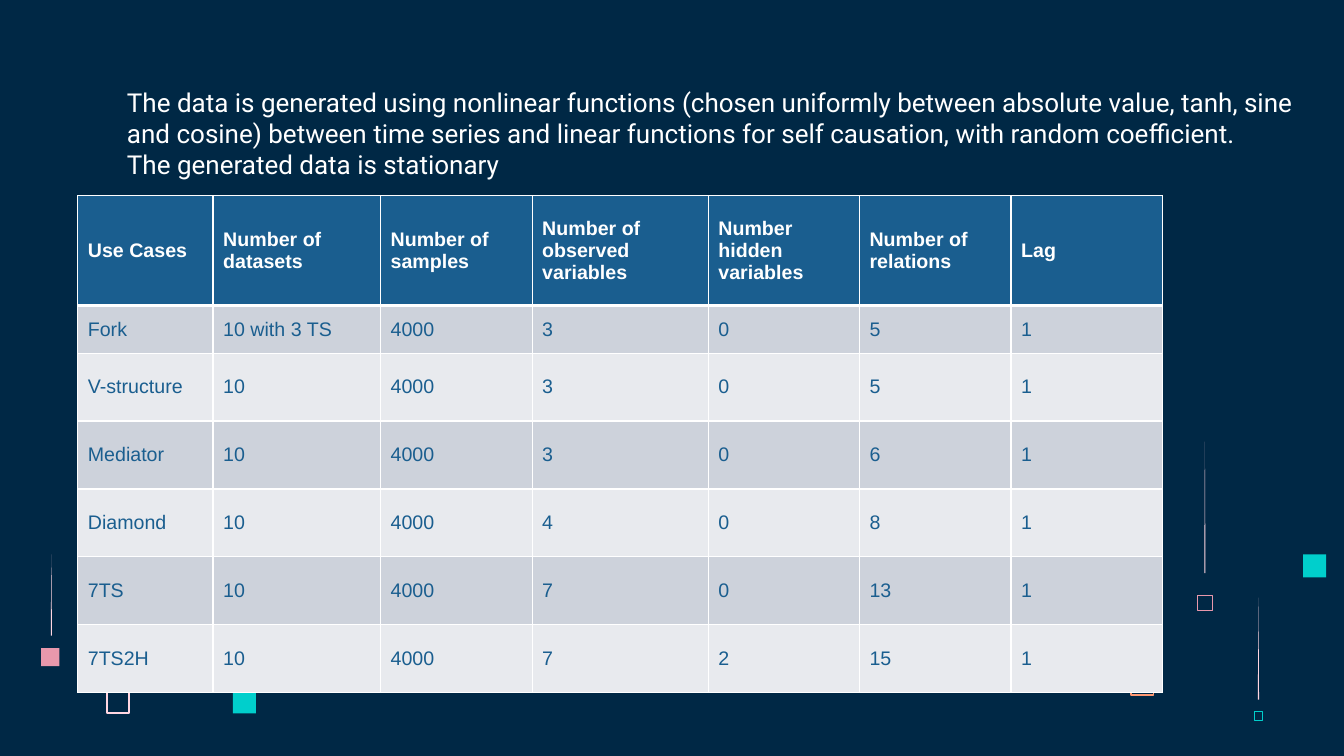
from pptx import Presentation
from pptx.dml.color import RGBColor
from pptx.enum.shapes import MSO_SHAPE
from pptx.enum.text import MSO_ANCHOR
from pptx.oxml.ns import qn
from pptx.util import Cm, Pt
from lxml import etree

RECTANGLE = MSO_SHAPE.RECTANGLE
TRIANGLE = MSO_SHAPE.ISOSCELES_TRIANGLE
MIDDLE = MSO_ANCHOR.MIDDLE

INTRO = [
    "The data is generated using nonlinear functions (chosen uniformly between absolute value, "
    "tanh, sine and cosine) between time series and linear functions for self causation, "
    "with random coefficient.",
    "The generated data is stationary",
]
HEADERS = ["Use Cases", "Number of datasets", "Number of samples", "Number of observed variables",
           "Number hidden variables", "Number of relations", "Lag"]
USE_CASES = [
    ("Fork", "10 with 3 TS", 4000, 3, 0, 5, 1),
    ("V-structure", 10, 4000, 3, 0, 5, 1),
    ("Mediator", 10, 4000, 3, 0, 6, 1),
    ("Diamond", 10, 4000, 4, 0, 8, 1),
    ("7TS", 10, 4000, 7, 0, 13, 1),
    ("7TS2H", 10, 4000, 7, 2, 15, 1),
]

THEME = {
    "background": "002845", "white": "FFFFFF", "blue": "1A5E8F",
    "bands": ("CDD2DB", "E8EAEE"),
    "teal": "00CFCC", "pink": "E898AC", "blush": "FFD6E1", "orange": "FF9973",
    "intro_font": "Roboto", "intro_size": 18.6,
    "table_font": "Arial", "table_size": 14,
    "border": 1, "header_border": 3,
}

OUTLINED_SQUARES = [
    (2.69, 17.4, 0.56, "blush", 1.25),
    (30.18, 15.01, 0.36, "pink", 0.25),
    (31.6, 17.93, 0.21, "teal", 0.25),
    (28.5, 16.94, 0.57, "orange", 1),
]
FILLED_SQUARES = [
    (5.87, 17.4, 0.58, "teal"),
    (1.04, 16.33, 0.46, "pink"),
    (32.84, 13.97, 0.58, "teal"),
]
STREAKS = [(30.35, 11.13, 3.31), (1.28, 13.97, 2.05), (31.7, 15.06, 2.57)]
STREAK_WIDTH = 0.03

TABLE_LEFT, TABLE_TOP = 1.96, 4.93
COLUMN_WIDTHS = [3.41, 4.22, 3.82, 4.44, 3.81, 3.82, 3.81]
ROW_HEIGHTS = [2.77, 1.2] + [1.71] * 5


def colour(name):
    return RGBColor.from_string(THEME.get(name, name))


def add_decoration(page, kind, left, top, width, height, fill=None, line=None, weight=1):
    shape = page.shapes.add_shape(kind, Cm(left), Cm(top), Cm(width), Cm(height))
    shape.shadow.inherit = False
    if fill:
        shape.fill.solid()
        shape.fill.fore_color.rgb = colour(fill)
    else:
        shape.fill.background()
    if line:
        shape.line.color.rgb = colour(line)
        shape.line.width = Pt(weight)
    else:
        shape.line.fill.background()


def write_span(para, text, ink, **formats):
    span = para.add_run()
    span.text = str(text)
    for name, value in formats.items():
        setattr(span.font, name, value)
    span.font.color.rgb = colour(ink)


def set_borders(cell, weights):
    properties = cell._tc.get_or_add_tcPr()
    for side, weight in weights.items():
        line = etree.SubElement(properties, qn(f"a:ln{side}"), w=str(Pt(weight)))
        fill = etree.SubElement(line, qn("a:solidFill"))
        etree.SubElement(fill, qn("a:srgbClr"), val=THEME["white"])


def add_decorations(page):
    for left, top, size, ink, weight in OUTLINED_SQUARES:
        add_decoration(page, RECTANGLE, left, top, size, size, line=ink, weight=weight)
    for left, top, size, ink in FILLED_SQUARES:
        add_decoration(page, RECTANGLE, left, top, size, size, fill=ink)
    for left, top, height in STREAKS:
        add_decoration(page, TRIANGLE, left, top, STREAK_WIDTH, height, fill="blush")


def add_intro(page):
    box = page.shapes.add_textbox(Cm(2.44), Cm(1.83), Cm(30.51), Cm(11.84))
    frame = box.text_frame
    margins = {"margin_left": 0.76, "margin_top": 0.35, "margin_right": 0, "margin_bottom": 0.33}
    for name, value in margins.items():
        setattr(frame, name, Cm(value))
    frame.word_wrap = True
    for index, text in enumerate(INTRO):
        para = frame.add_paragraph() if index else frame.paragraphs[0]
        write_span(para, text, "white", name=THEME["intro_font"], size=Pt(THEME["intro_size"]))


def add_use_case_table(page):
    rows = [HEADERS] + USE_CASES
    table = page.shapes.add_table(len(rows), len(HEADERS), Cm(TABLE_LEFT), Cm(TABLE_TOP),
                                  Cm(sum(COLUMN_WIDTHS)), Cm(sum(ROW_HEIGHTS))).table
    for column, width in zip(table.columns, COLUMN_WIDTHS):
        column.width = Cm(width)
    thin, thick = THEME["border"], THEME["header_border"]
    for index, values in enumerate(rows):
        table.rows[index].height = Cm(ROW_HEIGHTS[index])
        is_header = index == 0
        fill = "blue" if is_header else THEME["bands"][(index - 1) % 2]
        weights = {"L": thin, "R": thin, "T": thick if index == 1 else thin,
                   "B": thick if is_header else thin}
        for cell, value in zip(table.rows[index].cells, values):
            set_borders(cell, weights)
            cell.fill.solid()
            cell.fill.fore_color.rgb = colour(fill)
            cell.vertical_anchor = MIDDLE
            write_span(cell.text_frame.paragraphs[0], value, "white" if is_header else "blue",
                       name=THEME["table_font"], size=Pt(THEME["table_size"]), bold=is_header)


def main():
    deck = Presentation()
    deck.slide_width, deck.slide_height = Cm(33.87), Cm(19.05)
    page = deck.slides.add_slide(deck.slide_layouts[6])
    page.background.fill.solid()
    page.background.fill.fore_color.rgb = colour("background")
    add_decorations(page)
    add_intro(page)
    add_use_case_table(page)
    deck.save("out.pptx")


if __name__ == "__main__":
    main()
